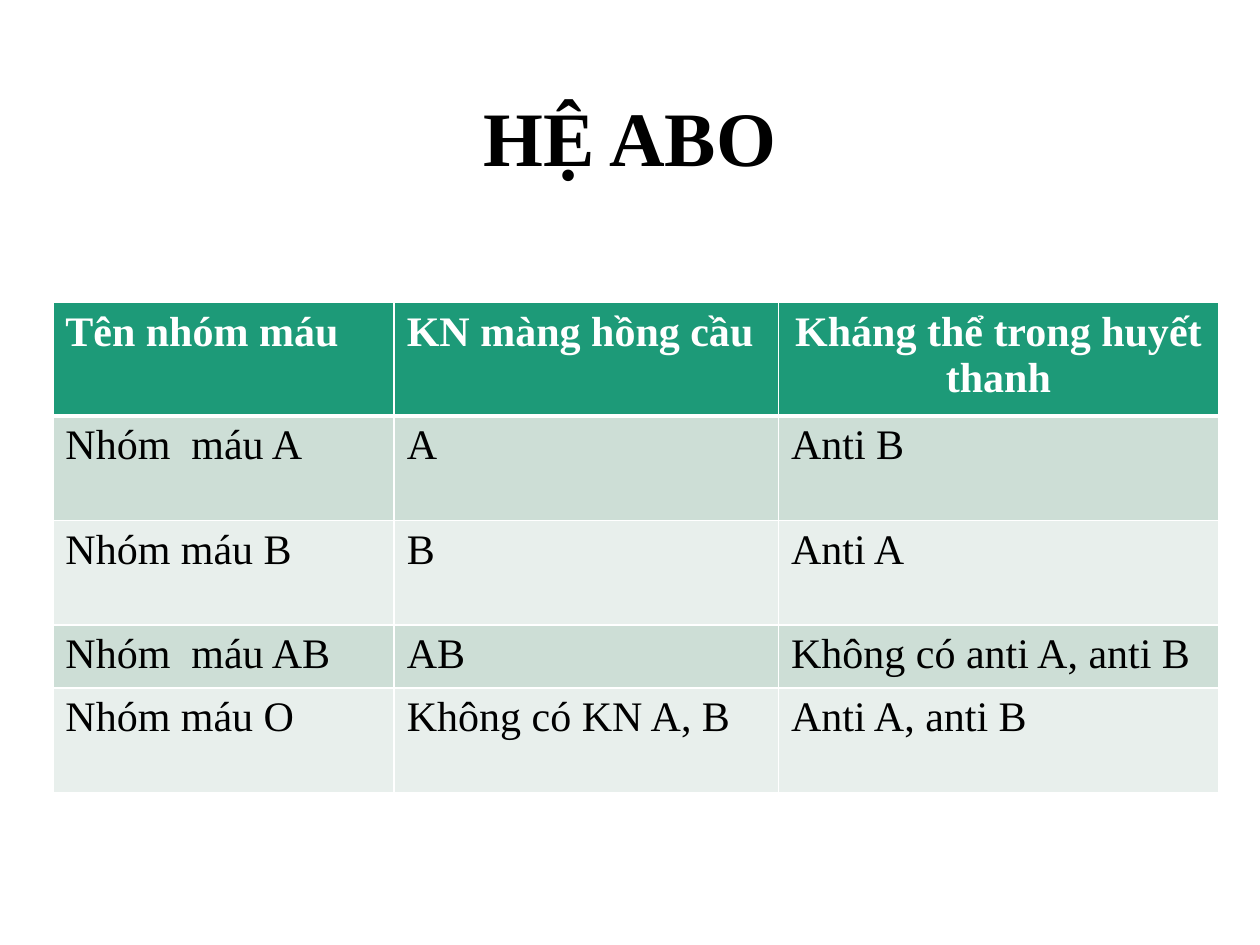
from lxml import etree
from pptx import Presentation
from pptx.dml.color import RGBColor
from pptx.enum.text import MSO_ANCHOR, PP_ALIGN
from pptx.oxml.ns import qn
from pptx.util import Pt

CENTER, LEFT = PP_ALIGN.CENTER, PP_ALIGN.LEFT
MIDDLE = MSO_ANCHOR.MIDDLE
FONT = "Times New Roman"
WHITE, BLACK = "FFFFFF", "000000"
HEADER_FILL, BAND_FILLS = "1D9A78", ("CDDED6", "E8EFEC")
COL_WIDTHS = (195.1, 219.6, 251.3)
ROW_HEIGHTS = (59.8, 59.8, 59.8, 33.1, 59.8)
BLOOD_GROUPS = (
    ("Tên nhóm máu", "KN màng hồng cầu", "Kháng thể trong huyết thanh"),
    ("Nhóm  máu A", "A", "Anti B"),
    ("Nhóm máu B", "B", "Anti A"),
    ("Nhóm  máu AB", "AB", "Không có anti A, anti B"),
    ("Nhóm máu O", "Không có KN A, B", "Anti A, anti B"),
)


def rgb(color):
    return RGBColor.from_string(color)


def set_text(tf, text, size, color, bold, align):
    p = tf.paragraphs[0]
    p.text = text
    p.alignment = align
    p.font.name = FONT
    p.font.size = Pt(size)
    p.font.bold = bold
    p.font.color.rgb = rgb(color)
    return p


def set_borders(cell, color, widths):
    tcPr = cell._tc.get_or_add_tcPr()
    for i, (side, width) in enumerate(zip("LRTB", widths)):
        ln = etree.Element(qn(f"a:ln{side}"), w=str(Pt(width)))
        fill = etree.SubElement(ln, qn("a:solidFill"))
        etree.SubElement(fill, qn("a:srgbClr"), val=color)
        tcPr.insert(i, ln)


def add_title(slide, left, top, width, height):
    sp = slide.shapes.add_textbox(Pt(left), Pt(top), Pt(width), Pt(height))
    tf = sp.text_frame
    tf.word_wrap = True
    tf.vertical_anchor = MIDDLE
    p = set_text(tf, "HỆ ABO", 44, BLACK, True, CENTER)
    p.line_spacing = 0.9


def add_blood_group_table(slide, left, top):
    table = slide.shapes.add_table(
        len(ROW_HEIGHTS), len(COL_WIDTHS), Pt(left), Pt(top),
        Pt(sum(COL_WIDTHS)), Pt(sum(ROW_HEIGHTS))).table
    for col, width in zip(table.columns, COL_WIDTHS):
        col.width = Pt(width)
    for row, height in zip(table.rows, ROW_HEIGHTS):
        row.height = Pt(height)
    for r, texts in enumerate(BLOOD_GROUPS):
        header = r == 0
        for c, text in enumerate(texts):
            cell = table.cell(r, c)
            cell.fill.solid()
            cell.fill.fore_color.rgb = rgb(
                HEADER_FILL if header else BAND_FILLS[(r - 1) % 2])
            set_borders(cell, WHITE,
                        (1, 1, 3 if r == 1 else 1, 3 if header else 1))
            set_text(cell.text_frame, text, 24, WHITE if header else BLACK,
                     header, CENTER if header and c == 2 else LEFT)


def main():
    prs = Presentation()
    prs.slide_width, prs.slide_height = Pt(720), Pt(540)
    slide = prs.slides.add_slide(prs.slide_layouts[6])
    add_title(slide, 49.5, 28.8, 621, 104.4)
    add_blood_group_table(slide, 30.2, 172.8)
    prs.save("out.pptx")


if __name__ == "__main__":
    main()
